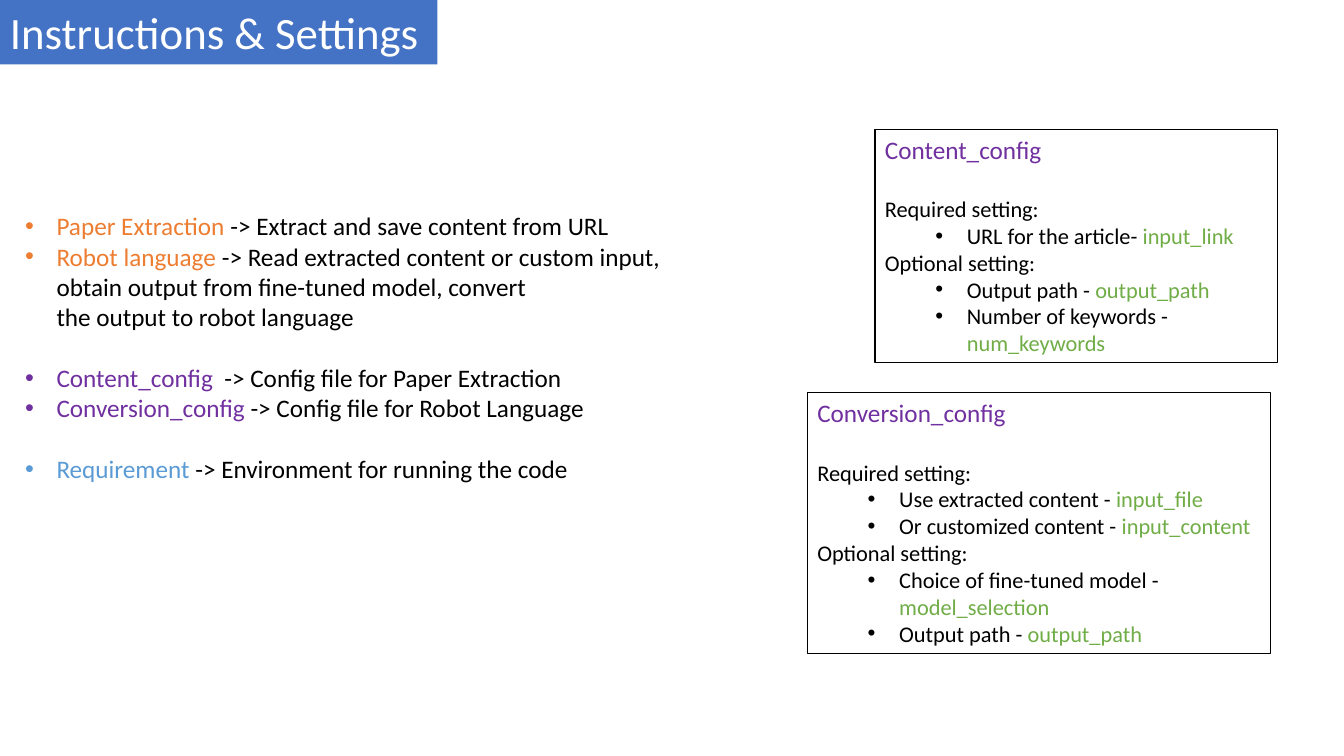
from lxml import etree
from pptx import Presentation
from pptx.dml.color import RGBColor
from pptx.enum import shapes, text
from pptx.oxml.ns import qn
from pptx.util import Pt

BLACK, WHITE, BLUE = "000000", "FFFFFF", "4472C4"
ORANGE, PURPLE, SKY, GREEN = "ED7D31", "7030A0", "5B9BD5", "70AD47"


def color(value):
    return RGBColor.from_string(value)


class SlideBuilder:
    font = "Calibri"
    hanging = 22.5

    def __init__(self, slide):
        self.slide = slide

    def box(self, left, top, width, height, fill=None, line=None):
        shape = self.slide.shapes.add_shape(
            shapes.MSO_SHAPE.RECTANGLE, Pt(left), Pt(top), Pt(width), Pt(height))
        shape.shadow.inherit = False
        if fill:
            shape.fill.solid()
            shape.fill.fore_color.rgb = color(fill)
        else:
            shape.fill.background()
        if line:
            shape.line.color.rgb = color(line)
            shape.line.width = Pt(0.75)
        else:
            shape.line.fill.background()
        return self.prepare(shape.text_frame)

    def text_box(self, left, top, width, height):
        shape = self.slide.shapes.add_textbox(Pt(left), Pt(top), Pt(width), Pt(height))
        return self.prepare(shape.text_frame)

    def prepare(self, frame):
        frame.word_wrap = True
        frame.vertical_anchor = text.MSO_ANCHOR.TOP
        return frame

    def paragraph(self, frame, runs, size, indent=None, gap=0):
        paragraph = frame.paragraphs[0]
        if paragraph.runs:
            paragraph = frame.add_paragraph()
        paragraph.alignment = text.PP_ALIGN.LEFT
        paragraph.space_before = Pt(gap)
        if indent is not None:
            self.bullet(paragraph, indent)
        for content, hue in runs:
            for number, line in enumerate(content.split("\n")):
                if number:
                    paragraph.add_line_break()
                run = paragraph.add_run()
                run.text = line
                run.font.name = self.font
                run.font.size = Pt(size)
                run.font.color.rgb = color(hue)

    def bullet(self, paragraph, indent):
        properties = paragraph._p.get_or_add_pPr()
        properties.set("marL", str(Pt(indent + self.hanging)))
        properties.set("indent", str(-Pt(self.hanging)))
        etree.SubElement(properties, qn("a:buFont")).set("typeface", "Arial")
        etree.SubElement(properties, qn("a:buChar")).set("char", "•")

    def config_card(self, place, title, sections):
        frame = self.box(*place, line=BLACK)
        self.paragraph(frame, [(title, PURPLE)], 18)
        for number, (heading, settings) in enumerate(sections):
            self.paragraph(frame, [(heading, BLACK)], 16, gap=0 if number else 22)
            for label, key in settings:
                self.paragraph(frame, [(label, BLACK), (key, GREEN)], 16, indent=36)


presentation = Presentation()
presentation.slide_width, presentation.slide_height = Pt(960), Pt(540)
builder = SlideBuilder(presentation.slides.add_slide(presentation.slide_layouts[6]))

title_frame = builder.box(0, 0, 312.5, 46, fill=BLUE)
builder.paragraph(title_frame, [("Instructions & Settings", WHITE)], 32)

overview = [
    ("Paper Extraction ", "-> Extract and save content from URL ", ORANGE, 0),
    ("Robot language ", "-> Read extracted content or custom input,\n"
     "obtain output from fine-tuned model, convert\n"
     "the output to robot language", ORANGE, 0),
    ("Content_config  ", "-> Config file for Paper Extraction", PURPLE, 22),
    ("Conversion_config ", "-> Config file for Robot Language", PURPLE, 0),
    ("Requirement", " -> Environment for running the code", SKY, 22),
]
overview_frame = builder.text_box(10.8, 147, 512, 225)
for name, description, hue, gap in overview:
    builder.paragraph(overview_frame, [(name, hue), (description, BLACK)], 18,
                      indent=0, gap=gap)

builder.config_card((625, 92.2, 287.3, 167), "Content_config", [
    ("Required setting:", [("URL for the article- ", "input_link")]),
    ("Optional setting:", [("Output path - ", "output_path"),
                           ("Number of keywords - ", "num_keywords")]),
])
builder.config_card((576.7, 280.5, 330.5, 186.5), "Conversion_config", [
    ("Required setting:", [("Use extracted content - ", "input_file"),
                           ("Or customized content - ", "input_content")]),
    ("Optional setting:", [("Choice of fine-tuned model - ", "model_selection"),
                           ("Output path - ", "output_path")]),
])

presentation.save("out.pptx")
